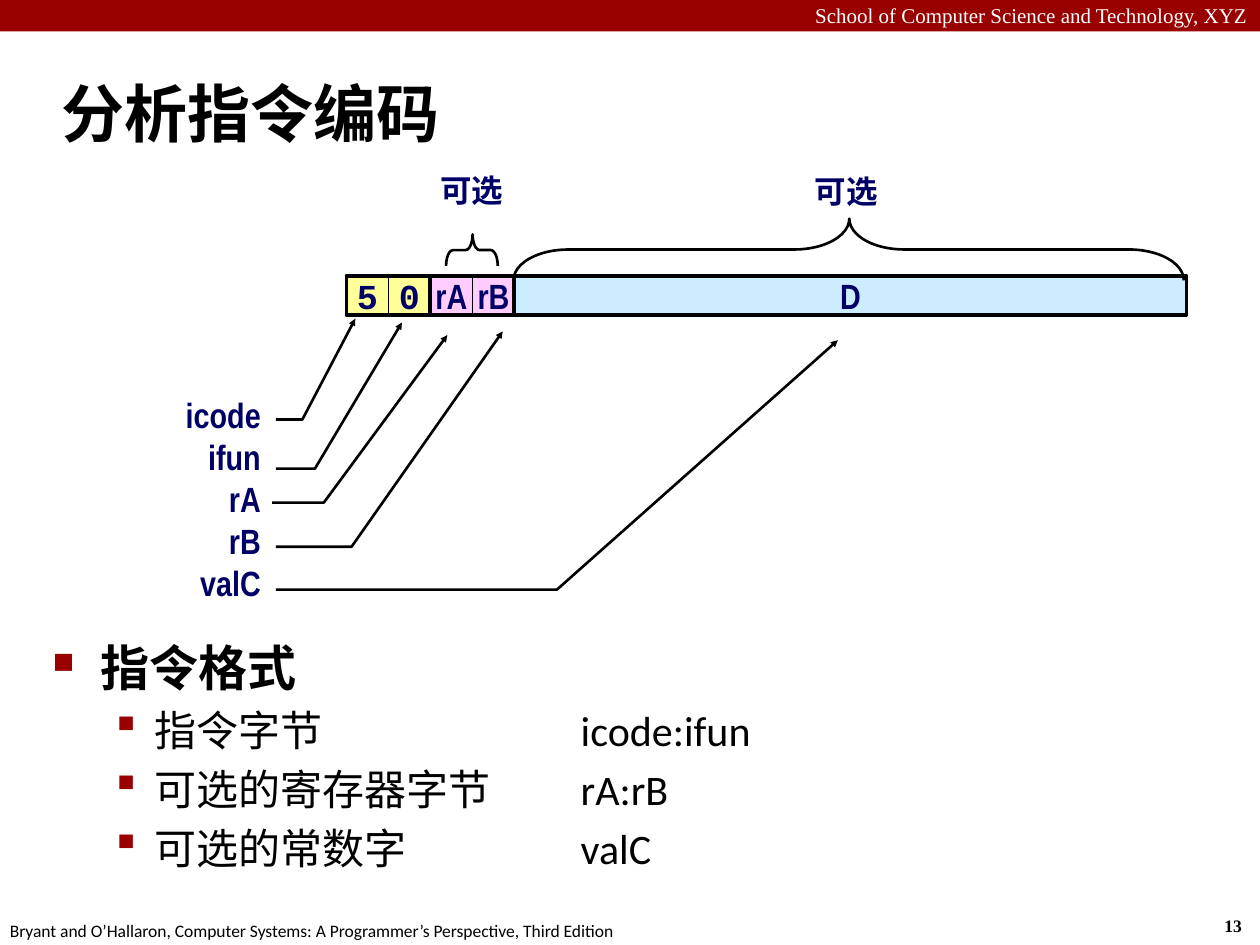
from lxml.etree import SubElement
from pptx import Presentation
from pptx.dml.color import RGBColor
from pptx.enum.shapes import MSO_SHAPE
from pptx.enum.text import MSO_ANCHOR, PP_ALIGN
from pptx.oxml.ns import qn
from pptx.util import Inches, Pt

RED = RGBColor(0x99, 0x00, 0x00)
NAVY = RGBColor(0x00, 0x00, 0x66)
BLACK = RGBColor(0x00, 0x00, 0x00)
WHITE = RGBColor(0xFF, 0xFF, 0xFF)
YELLOW = RGBColor(0xFF, 0xFF, 0x99)
PINK = RGBColor(0xFF, 0xCC, 0xFF)
SKY = RGBColor(0xCC, 0xEC, 0xFF)

# Content
HEADER = "School of Computer Science and Technology, XYZ"
FOOTER = ("Bryant and O’Hallaron, Computer Systems: "
          "A Programmer’s Perspective, Third Edition")
PAGE = "13"
TITLE = "分析指令编码"
BYTE_FIELDS = [
    (("5", "0"), YELLOW, "Courier New"),
    (("rA", "rB"), PINK, "Arial Narrow"),
]
CONSTANT_FIELD = "D"
# name, then the arrow's start x, bend x, baseline y and tip
FIELD_ARROWS = [
    ("icode", 2.19, 2.40, 3.33, (2.82, 2.53)),
    ("ifun", 2.19, 2.50, 3.72, (3.19, 2.56)),
    ("rA", 2.16, 2.57, 3.99, (3.55, 2.66)),
    ("rB", 2.19, 2.79, 4.34, (3.99, 2.63)),
    ("valC", 2.19, 4.42, 4.68, (6.65, 2.70)),
]
# brace box before rotation, its adjustments, left and top of its label
OPTIONAL = "可选"
BRACES = [
    ((3.62, 1.78, 0.25, 0.41), (0.222, 0.487), (3.44, 1.34)),
    ((6.49, -0.68, 0.49, 5.32), (0.889, 0.499), (6.41, 1.35)),
]
FORMAT_HEADING = "指令格式"
FORMAT_PARTS = [
    ("指令字节", "icode:ifun"),
    ("可选的寄存器字节", "rA:rB"),
    ("可选的常数字", "valC"),
]
# Wingdings codes of the large and the small square
LARGE_SQUARE, SMALL_SQUARE = "n", "§"

# Grid of the encoding row and the field names
CELL = 1 / 3
ROW_LEFT, ROW_TOP, ROW_HEIGHT = 2.75, 2.19, 0.31
CONSTANT_CELLS = 16
NAMES_TOP = 3.11

prs = Presentation()
prs.slide_width, prs.slide_height = Inches(10), Inches(7.5)
slide = prs.slides.add_slide(prs.slide_layouts[6])


def style(paragraph, size, font, color, bold=False, align=PP_ALIGN.LEFT):
    paragraph.alignment = align
    for run in paragraph.runs:
        run.font.size, run.font.name, run.font.bold = Pt(size), font, bold
        run.font.color.rgb = color


def add_text(box, text, size, font, color=BLACK, bold=False,
             align=PP_ALIGN.LEFT, wrap=True, inset=0.1, spacing=None):
    textbox = slide.shapes.add_textbox(*map(Inches, box))
    frame = textbox.text_frame
    frame.word_wrap = wrap
    frame.margin_left = frame.margin_right = Inches(inset)
    frame.text = text
    paragraph = frame.paragraphs[0]
    style(paragraph, size, font, color, bold, align)
    if spacing:
        paragraph.line_spacing = spacing
    return frame


def finish(shape, width, fill=None):
    shape.shadow.inherit = False
    if fill is None:
        shape.fill.background()
    else:
        shape.fill.solid()
        shape.fill.fore_color.rgb = fill
    shape.line.color.rgb = BLACK
    shape.line.width = Pt(width)


def add_outline(shapes, kind, box, width, fill=None):
    shape = shapes.add_shape(kind, *map(Inches, box))
    finish(shape, width, fill)
    return shape


def add_field(shapes, column, span, text, fill, font, width):
    box = (ROW_LEFT + column * CELL, ROW_TOP, span * CELL, ROW_HEIGHT)
    field = add_outline(shapes, MSO_SHAPE.RECTANGLE, box, width, fill)
    if text:
        frame = field.text_frame
        frame.word_wrap = False
        frame.vertical_anchor = MSO_ANCHOR.MIDDLE
        frame.text = text
        style(frame.paragraphs[0], 20, font, NAVY, True, PP_ALIGN.CENTER)


def add_bent_arrow(*points):
    start, *rest = [tuple(map(Inches, point)) for point in points]
    builder = slide.shapes.build_freeform(*start)
    builder.add_line_segments(rest, close=False)
    arrow = builder.convert_to_shape()
    finish(arrow, 1.5)
    SubElement(arrow.line._get_or_add_ln(), qn("a:tailEnd"),
               type="triangle", w="sm", len="sm")


def indent(paragraph, left, hanging):
    props = paragraph._p.get_or_add_pPr()
    props.set("marL", str(Inches(left)))
    props.set("indent", str(-Inches(hanging)))
    return props


def add_bullet(paragraph, char, percent, left, hanging):
    props = indent(paragraph, left, hanging)
    before = SubElement(props, qn("a:spcBef"))
    SubElement(before, qn("a:spcPct"), val="20000")
    color = SubElement(props, qn("a:buClr"))
    SubElement(color, qn("a:srgbClr"), val=str(RED))
    SubElement(props, qn("a:buSzPct"), val=str(percent * 1000))
    SubElement(props, qn("a:buFont"), typeface="Wingdings", charset="2")
    SubElement(props, qn("a:buChar"), char=char)
    tabs = SubElement(props, qn("a:tabLst"))
    SubElement(tabs, qn("a:tab"), pos=str(Inches(4.19)), algn="l")


# Header band, page number and footer
band = add_outline(slide.shapes, MSO_SHAPE.RECTANGLE, (0, 0, 10, 0.25), 0.5, RED)
band.line.fill.background()
add_text((0, -0.03, 10, 0.3), HEADER, 12, "Times New Roman", WHITE,
         align=PP_ALIGN.RIGHT)
add_text((9.62, 7.21, 0.37, 0.27), PAGE, 10, "Times New Roman", bold=True, wrap=False)
add_text((-0.02, 7.25, 5.08, 0.27), FOOTER, 10, "Calibri", wrap=False)

# Title
title = add_text((0.39, 0.48, 9.61, 0.83), TITLE, 36, "Calibri", bold=True)
title.vertical_anchor = MSO_ANCHOR.MIDDLE
indent(title.paragraphs[0], 0.13, 0.13)

# Instruction format list
body = add_text((0.32, 5.01, 9.08, 2.04), FORMAT_HEADING, 28, "Calibri", bold=True)
add_bullet(body.paragraphs[0], LARGE_SQUARE, 60, 0.38, 0.38)
for part, encoding in FORMAT_PARTS:
    item = body.add_paragraph()
    item.text = f"{part}\t{encoding}"
    item.level = 1
    style(item, 24, "Calibri", BLACK)
    add_bullet(item, SMALL_SQUARE, 110, 0.81, 0.31)

# Encoding row: two split bytes, then the constant word
column = 0
for halves, fill, font in BYTE_FIELDS:
    byte = slide.shapes.add_group_shape().shapes
    for offset, half in enumerate(halves):
        add_field(byte, column + offset, 1, half, fill, font, 0.5)
    add_field(byte, column, len(halves), None, None, font, 2.25)
    column += len(halves)
add_field(slide.shapes, column, CONSTANT_CELLS, CONSTANT_FIELD, SKY,
          "Arial Narrow", 2.25)

# Field names with bent arrows to the row
for row, (name, start, bend, baseline, tip) in enumerate(FIELD_ARROWS):
    add_text((1.08, NAMES_TOP + row * CELL, 1.04, 0.4), name, 20, "Arial Narrow",
             NAVY, True, PP_ALIGN.RIGHT, inset=0.05, spacing=0.9)
    add_bent_arrow((start, baseline), (bend, baseline), tip)

# Braces over the optional parts
for box, adjustments, (left, top) in BRACES:
    brace = add_outline(slide.shapes, MSO_SHAPE.LEFT_BRACE, box, 1.5)
    brace.rotation = 90
    for index, value in enumerate(adjustments):
        brace.adjustments[index] = value
    add_text((left, top, 0.61, 0.37), OPTIONAL, 18, "Arial Narrow", NAVY, True,
             PP_ALIGN.CENTER, wrap=False, inset=0.05, spacing=0.9)

prs.save("out.pptx")
